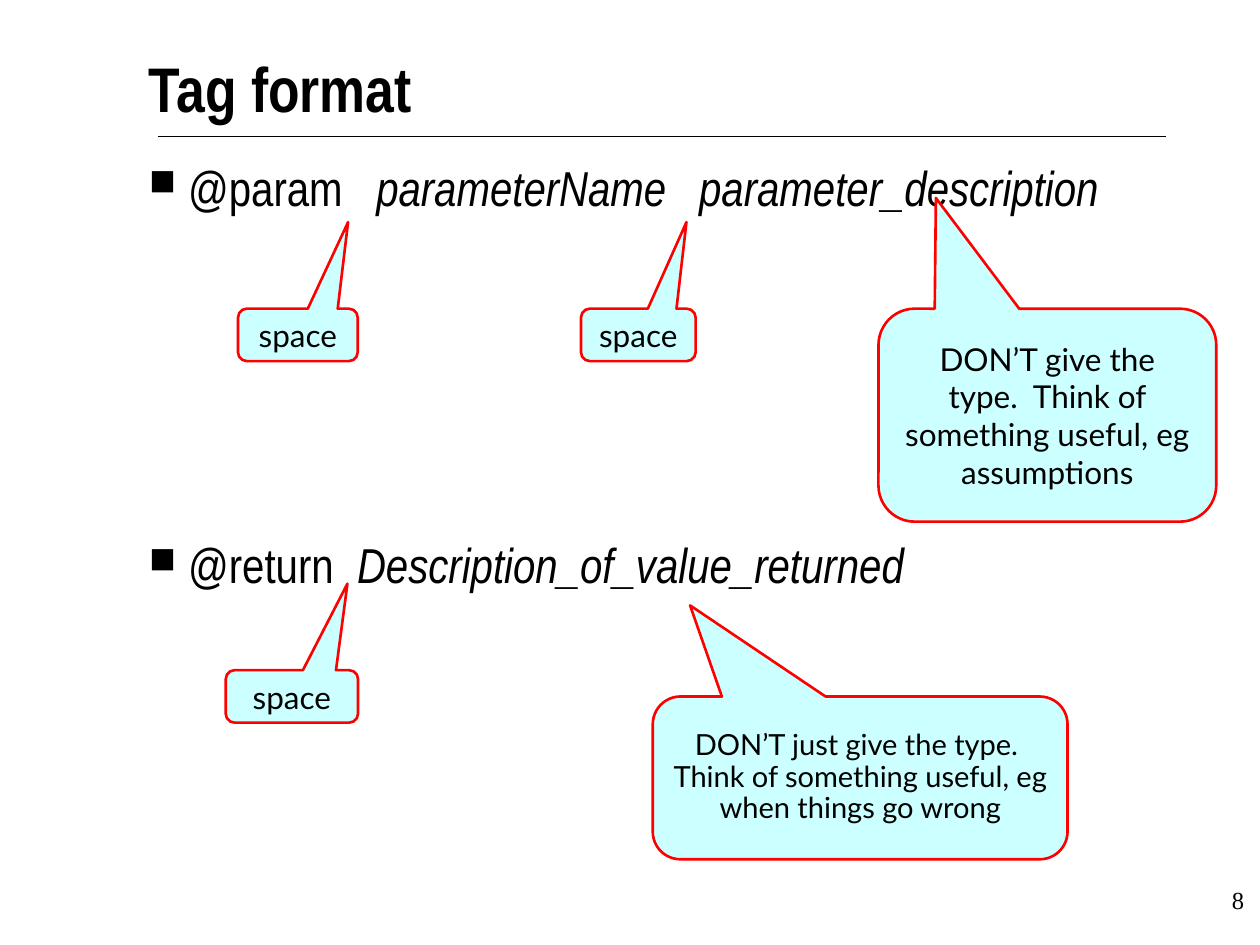
from lxml import etree
from pptx import Presentation
from pptx.dml.color import RGBColor
from pptx.enum import shapes, text
from pptx.oxml import ns
from pptx.util import Pt

COLORS = {"ink": "000000", "callout": "CCFFFF", "edge": "FF0000"}
HEADING_FONT, CALLOUT_FONT, NUMBER_FONT = "Arial Narrow", "Lato", "Times New Roman"
INDENT = 22.5


def color(name):
    return RGBColor.from_string(COLORS[name])


def add_span(para, content, font, size, bold=False, italic=False):
    span = para.add_run()
    span.text = content
    span.font.name, span.font.size = font, Pt(size)
    span.font.bold, span.font.italic = bold, italic
    span.font.color.rgb = color("ink")


def add_box(page, left, top, width, height, margins=(0, 0)):
    box = page.shapes.add_textbox(Pt(left), Pt(top), Pt(width), Pt(height))
    frame = box.text_frame
    frame.word_wrap = True
    frame.margin_left = frame.margin_right = Pt(margins[0])
    frame.margin_top = frame.margin_bottom = Pt(margins[1])
    return frame


def add_rule(page, left, right, y):
    rule = page.shapes.add_connector(
        shapes.MSO_CONNECTOR.STRAIGHT, Pt(left), Pt(y), Pt(right), Pt(y))
    rule.line.color.rgb, rule.line.width = color("ink"), Pt(0.75)
    etree.SubElement(rule._element.spPr, ns.qn("a:effectLst"))


def set_bullet_and_tabs(para, stops):
    """Give a paragraph a square bullet, a hanging indent and tab stops."""
    props = para._p.get_or_add_pPr()
    props.set("marL", str(Pt(INDENT)))
    props.set("indent", str(-Pt(INDENT)))
    bullet_color = etree.SubElement(props, ns.qn("a:buClr"))
    etree.SubElement(bullet_color, ns.qn("a:srgbClr"), val=COLORS["ink"])
    etree.SubElement(props, ns.qn("a:buSzPct"), val="75000")
    etree.SubElement(props, ns.qn("a:buChar"), char="■")
    tabs = etree.SubElement(props, ns.qn("a:tabLst"))
    for stop in stops:
        etree.SubElement(tabs, ns.qn("a:tab"), pos=str(Pt(stop)), algn="l")


def add_tag(para, tag, parts, stops, space_before=0):
    set_bullet_and_tabs(para, stops)
    para.space_before = Pt(space_before)
    add_span(para, tag + "\t", HEADING_FONT, 28)
    add_span(para, "\t".join(parts), HEADING_FONT, 28, italic=True)


def add_callout(page, content, left, top, width, height, tip, size=18, spacing=None):
    box = page.shapes.add_shape(
        shapes.MSO_SHAPE.ROUNDED_RECTANGULAR_CALLOUT,
        Pt(left), Pt(top), Pt(width), Pt(height))
    box.shadow.inherit = False
    box.fill.solid()
    box.fill.fore_color.rgb = color("callout")
    box.line.color.rgb, box.line.width = color("edge"), Pt(1.5)
    for index, value in enumerate((*tip, 0.17)):
        box.adjustments[index] = value
    frame = box.text_frame
    frame.word_wrap = True
    frame.vertical_anchor = text.MSO_ANCHOR.MIDDLE
    para = frame.paragraphs[0]
    para.alignment = text.PP_ALIGN.CENTER
    para.line_spacing = spacing
    add_span(para, content, CALLOUT_FONT, size)


def main():
    deck = Presentation()
    deck.slide_width, deck.slide_height = Pt(720), Pt(540)
    page = deck.slides.add_slide(deck.slide_layouts[6])

    # Heading with its rule
    add_rule(page, 90, 666, 78)
    title = add_box(page, 85, 28, 551, 54)
    add_span(title.paragraphs[0], "Tag format", HEADING_FONT, 36, bold=True)

    # Tag formats
    tags = add_box(page, 85, 90, 594, 378)
    add_tag(tags.paragraphs[0], "@param",
            ["parameterName", "parameter_description"], [130, 314.5])
    add_tag(tags.add_paragraph(), "@return",
            ["Description_of_value_returned"], [119], space_before=182)

    # Page number
    number = add_box(page, 568, 502, 150, 36, margins=(7.2, 3.6)).paragraphs[0]
    number.alignment = text.PP_ALIGN.RIGHT
    add_span(number, "8", NUMBER_FONT, 14)

    # Callouts that point at the spaces
    for left, top, width in ((136, 176.4, 68.4), (332, 176.4, 65.5), (129, 383, 75.6)):
        add_callout(page, "space", left, top, width, 30, tip=(0.42, -2.15))

    # Callouts that point at the descriptions
    add_callout(page, "DON’T give the type.  Think of something useful, eg assumptions",
                502, 176.4, 193, 121.7, tip=(-0.33, -1.02))
    add_callout(page, "DON’T just give the type.  Think of something useful, "
                "eg when things go wrong",
                373, 398, 237, 93, tip=(-0.41, -1.06), size=16.6, spacing=0.9)

    deck.save("out.pptx")


if __name__ == "__main__":
    main()
